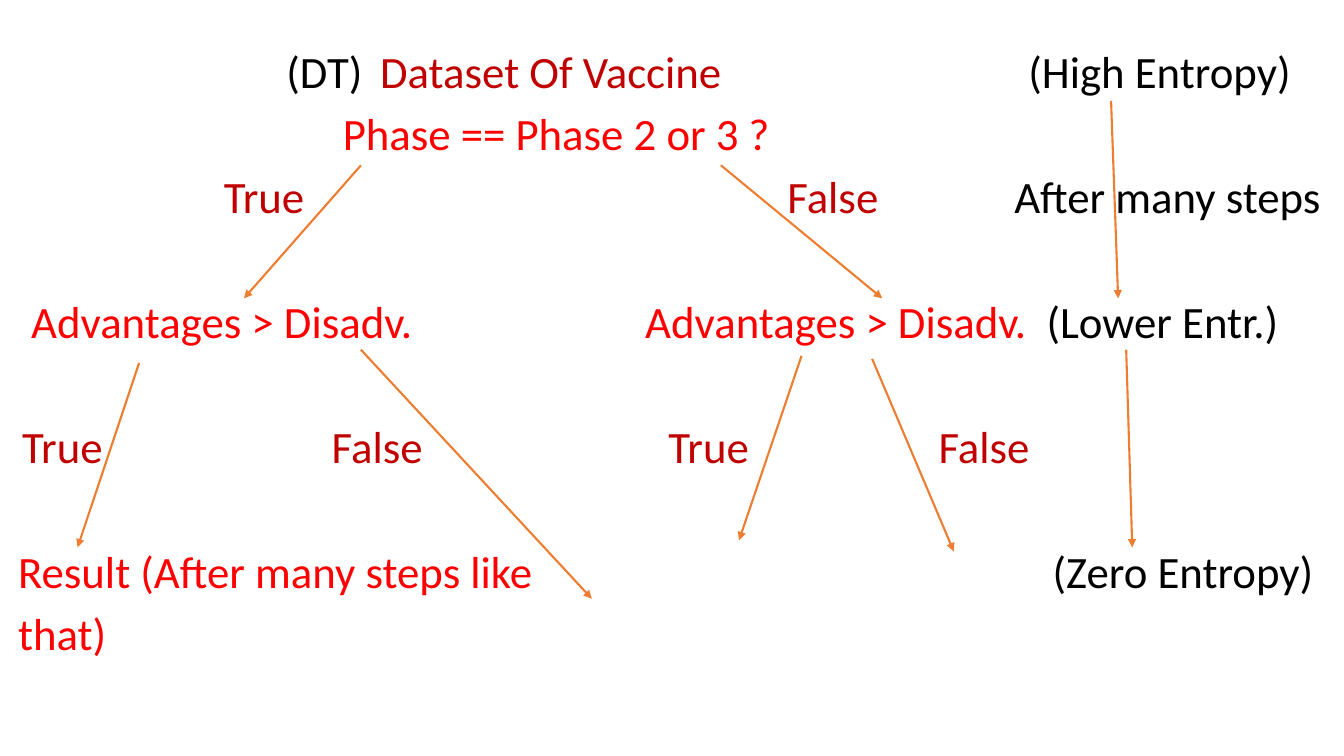
from lxml import etree
from pptx import Presentation
from pptx import util as u
from pptx.dml.color import RGBColor
from pptx.enum import shapes, text
from pptx.oxml.ns import qn

TOP, ROW = 0.49, 0.62  # first text row and row pitch, inches
BLACK, DARK_RED, RED, ORANGE = "000000", "C00000", "FF0000", "ED7D31"

# row, left, width, colour, lines
LABELS = [
    (0, 2.84, 0.8, BLACK, ["(DT)"]),
    (0, 3.77, 3.5, DARK_RED, ["Dataset Of Vaccine"]),
    (1, 3.4, 4.4, RED, ["Phase == Phase 2 or 3 ?"]),
    (2, 2.22, 0.9, DARK_RED, ["True"]),
    (2, 7.81, 1, DARK_RED, ["False"]),
    (4, 0.31, 3.9, RED, ["Advantages > Disadv."]),
    (4, 6.4, 3.9, RED, ["Advantages > Disadv."]),
    (6, 0.22, 0.9, DARK_RED, ["True"]),
    (6, 3.29, 1, DARK_RED, ["False"]),
    (6, 6.63, 0.9, DARK_RED, ["True"]),
    (6, 9.31, 1, DARK_RED, ["False"]),
    (8, 0.18, 5.3, RED, ["Result (After many steps like", "that)"]),
    # Entropy column
    (0, 10.2, 2.7, BLACK, ["(High Entropy)"]),
    (2, 10.06, 3.15, BLACK, ["After many steps"]),
    (4, 10.38, 2.4, BLACK, ["(Lower Entr.)"]),
    (8, 10.44, 2.7, BLACK, ["(Zero Entropy)"]),
]

# x1, y1, x2, y2
ARROWS = [
    # Root to second level
    (3.58, 1.64, 2.42, 2.96),
    (7.15, 1.64, 8.75, 2.96),
    # Left branch
    (1.38, 3.6, 0.77, 5.43),
    (3.58, 3.47, 5.87, 5.94),
    # Right branch
    (7.95, 3.53, 7.33, 5.36),
    (8.65, 3.56, 9.46, 5.47),
    # Entropy column
    (11.02, 1, 11.09, 2.96),
    (11.17, 3.47, 11.23, 5.43),
]


def rgb(code):
    return RGBColor.from_string(code)


def add_label(s, row, left, width, color, lines):
    sp = s.shapes.add_textbox(u.Inches(left), u.Inches(TOP + row * ROW),
                              u.Inches(width), u.Inches(ROW * len(lines)))
    tf = sp.text_frame
    tf.margin_left = tf.margin_right = tf.margin_top = tf.margin_bottom = 0
    tf.vertical_anchor = text.MSO_ANCHOR.TOP
    tf.word_wrap = False
    tf.text = "\n".join(lines)
    for i, p in enumerate(tf.paragraphs):
        p.line_spacing = 0.9
        p.space_before = u.Pt(10 if i else 0)
        p.font.name = "Calibri"
        p.font.size = u.Pt(32)
        p.font.color.rgb = rgb(color)


def add_arrow(s, *ends):
    c = s.shapes.add_connector(shapes.MSO_CONNECTOR.STRAIGHT,
                               *(u.Inches(v) for v in ends))
    c.line.color.rgb = rgb(ORANGE)
    c.line.width = u.Pt(1.5)
    etree.SubElement(c.line._get_or_add_ln(), qn("a:tailEnd"), type="triangle")
    etree.SubElement(c._element.spPr, qn("a:effectLst"))


def main():
    prs = Presentation()
    prs.slide_width, prs.slide_height = u.Inches(13.33), u.Inches(7.5)
    s = prs.slides.add_slide(prs.slide_layouts[6])

    # Decision tree text
    for label in LABELS:
        add_label(s, *label)

    # Branches and entropy flow
    for ends in ARROWS:
        add_arrow(s, *ends)

    prs.save("out.pptx")


main()
